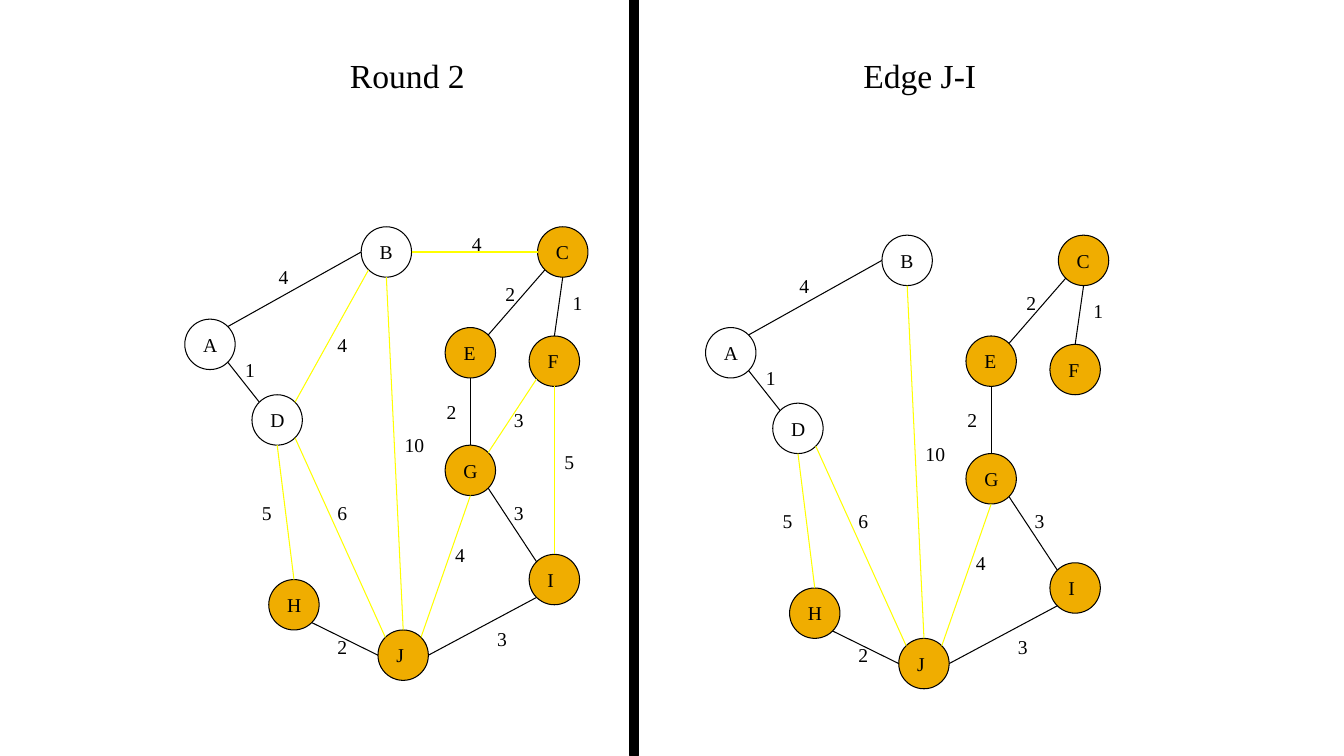
"""Draw two stages of a spanning tree construction side by side."""
from math import sqrt

from pptx import Presentation
from pptx.dml.color import RGBColor
from pptx.enum.shapes import MSO_CONNECTOR as Connector, MSO_SHAPE as Shape
from pptx.enum.text import MSO_AUTO_SIZE as AutoSize, PP_ALIGN as Align
from pptx.oxml.ns import qn
from pptx.util import Cm, Pt

BLACK, YELLOW, ORANGE = "000000", "FFFF00", "F0AD00"
FONT = "Times New Roman"

NODES = {
    "A": (22, 38), "B": (43, 27), "C": (64, 27), "D": (30, 47), "E": (53, 39),
    "F": (63, 40), "G": (53, 53), "H": (32, 69), "I": (63, 66), "J": (45, 75),
}
MERGED = "CEFGHIJ"
EDGES = [
    ("A", "NE", "B", "W", "4", (32, 31), BLACK),
    ("A", "SE", "D", "NW", "1", (28, 42), BLACK),
    ("B", "E", "C", "W", "4", (55, 27), YELLOW),
    ("B", "SW", "D", "NE", "4", (39, 39), YELLOW),
    ("B", "S", "J", "N", "10", (47, 51), YELLOW),
    ("C", "SW", "E", "NE", "2", (59, 33), BLACK),
    ("C", "S", "F", "N", "1", (67, 34), BLACK),
    ("D", "S", "H", "N", "5", (30, 59), YELLOW),
    ("D", "SE", "J", "NW", "6", (39, 59), YELLOW),
    ("E", "S", "G", "N", "2", (52, 47), BLACK),
    ("F", "SW", "G", "NE", "3", (60, 48), YELLOW),
    ("F", "S", "I", "N", "5", (66, 53), YELLOW),
    ("G", "SE", "I", "NW", "3", (60, 59), BLACK),
    ("G", "S", "J", "NE", "4", (53, 64), YELLOW),
    ("H", "SE", "J", "W", "2", (39, 75), BLACK),
    ("I", "SW", "J", "E", "3", (58, 74), BLACK),
]
PANELS = [
    {"title": "Round 2", "title_left": 31, "shift": (0, 0), "dropped": []},
    {"title": "Edge J-I", "title_left": 92, "shift": (62, 1),
     "dropped": ["BC", "BD", "FG", "FI"]},
]
DIAMETER = 6
LABEL_WIDTHS = {"10": 4.8, "B": 4, "C": 4, "E": 3.84, "F": 3.72, "I": 3.24, "J": 3.36}
LETTER_WIDTH, DIGIT_WIDTH, LABEL_HEIGHT = 4.1, 3.6, 4


def grid(steps):
    return Cm(steps * 2.54 / 12)


def color(hex_text):
    return RGBColor.from_string(hex_text)


def add_outlined(slide, kind, left, top, width, height, fill=None):
    shape = slide.shapes.add_shape(kind, grid(left), grid(top), grid(width), grid(height))
    shape.shadow.inherit = False
    if fill:
        shape.fill.solid()
        shape.fill.fore_color.rgb = color(fill)
    else:
        shape.fill.background()
    shape.line.color.rgb = color(BLACK)
    shape.line.width = Pt(0.75)


def add_text(slide, text, left, top, width, height, size=14, align=Align.LEFT, wrap=False):
    box = slide.shapes.add_textbox(grid(left), grid(top), grid(width), grid(height))
    frame = box.text_frame
    frame.word_wrap = wrap
    frame.auto_size = AutoSize.SHAPE_TO_FIT_TEXT
    paragraph = frame.paragraphs[0]
    paragraph.alignment = align
    run = paragraph.add_run()
    run.text = text
    run.font.name = FONT
    run.font.size = Pt(size)
    run.font.color.rgb = color(BLACK)


def add_label(slide, text, left, top):
    default = DIGIT_WIDTH if text.isdigit() else LETTER_WIDTH
    add_text(slide, text, left, top, LABEL_WIDTHS.get(text, default), LABEL_HEIGHT)


def rim_point(node, compass):
    radius = DIAMETER / 2
    reach = radius / sqrt(len(compass))
    across = ("E" in compass) - ("W" in compass)
    down = ("S" in compass) - ("N" in compass)
    left, top = NODES[node]
    return left + radius + across * reach, top + radius + down * reach


def add_edge(slide, start, end, stroke):
    edge = slide.shapes.add_connector(Connector.STRAIGHT, *map(grid, start + end))
    edge.line.color.rgb = color(stroke)
    edge.line.width = Pt(0.75)
    properties = edge._element.spPr
    properties.append(properties.makeelement(qn("a:effectLst"), {}))


def add_panel(slide, title, title_left, shift, dropped):
    def shifted(point):
        return point[0] + shift[0], point[1] + shift[1]

    add_text(slide, title, title_left, 6, 35, 6, size=24, align=Align.CENTER, wrap=True)
    for name, corner in NODES.items():
        left, top = shifted(corner)
        fill = ORANGE if name in MERGED else None
        add_outlined(slide, Shape.OVAL, left, top, DIAMETER, DIAMETER, fill=fill)
        add_label(slide, name, left + 1, top + 1)
    for first, leave, second, arrive, weight, weight_at, stroke in EDGES:
        if first + second not in dropped:
            start, end = rim_point(first, leave), rim_point(second, arrive)
            add_edge(slide, shifted(start), shifted(end), stroke)
            add_label(slide, weight, *shifted(weight_at))


def main():
    deck = Presentation()
    deck.slide_width, deck.slide_height = grid(160), grid(90)
    slide = deck.slides.add_slide(deck.slide_layouts[6])
    add_outlined(slide, Shape.RECTANGLE, 75, 0, 1, 90, fill=BLACK)
    for panel in PANELS:
        add_panel(slide, **panel)
    deck.save("out.pptx")


if __name__ == "__main__":
    main()
